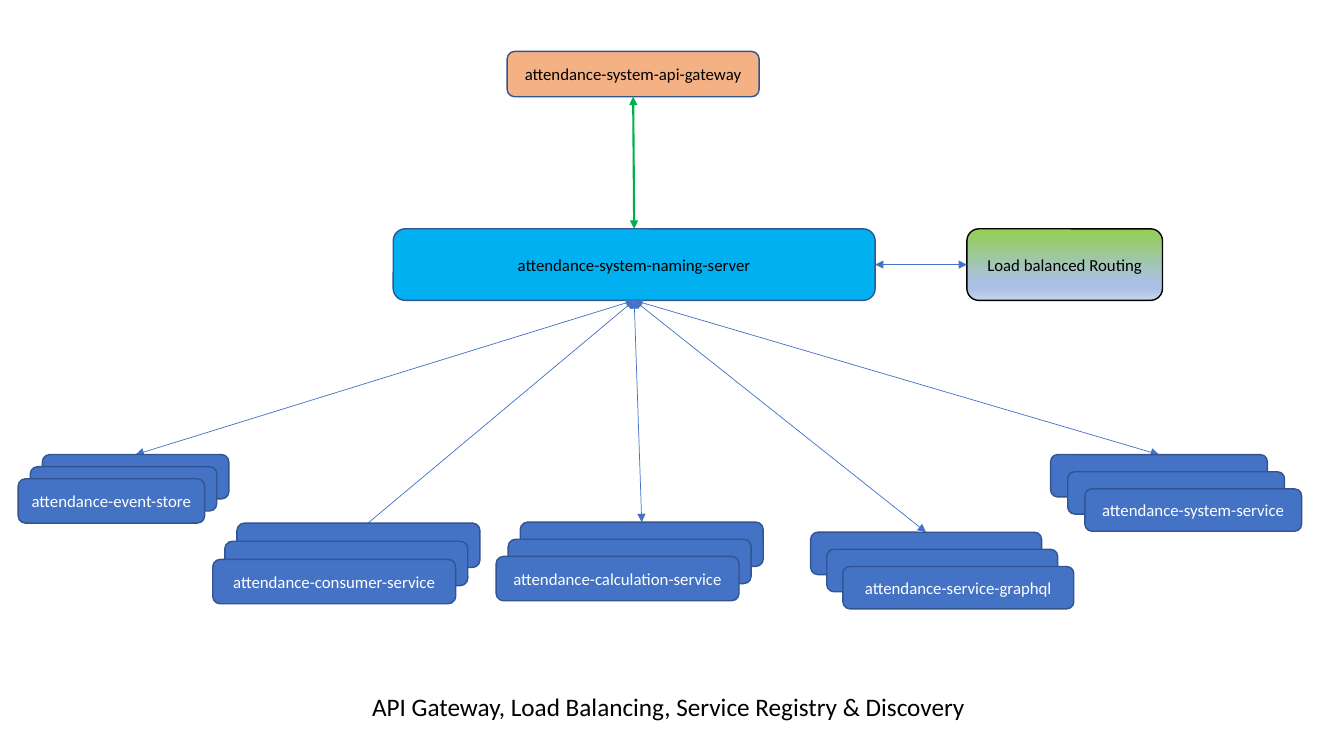
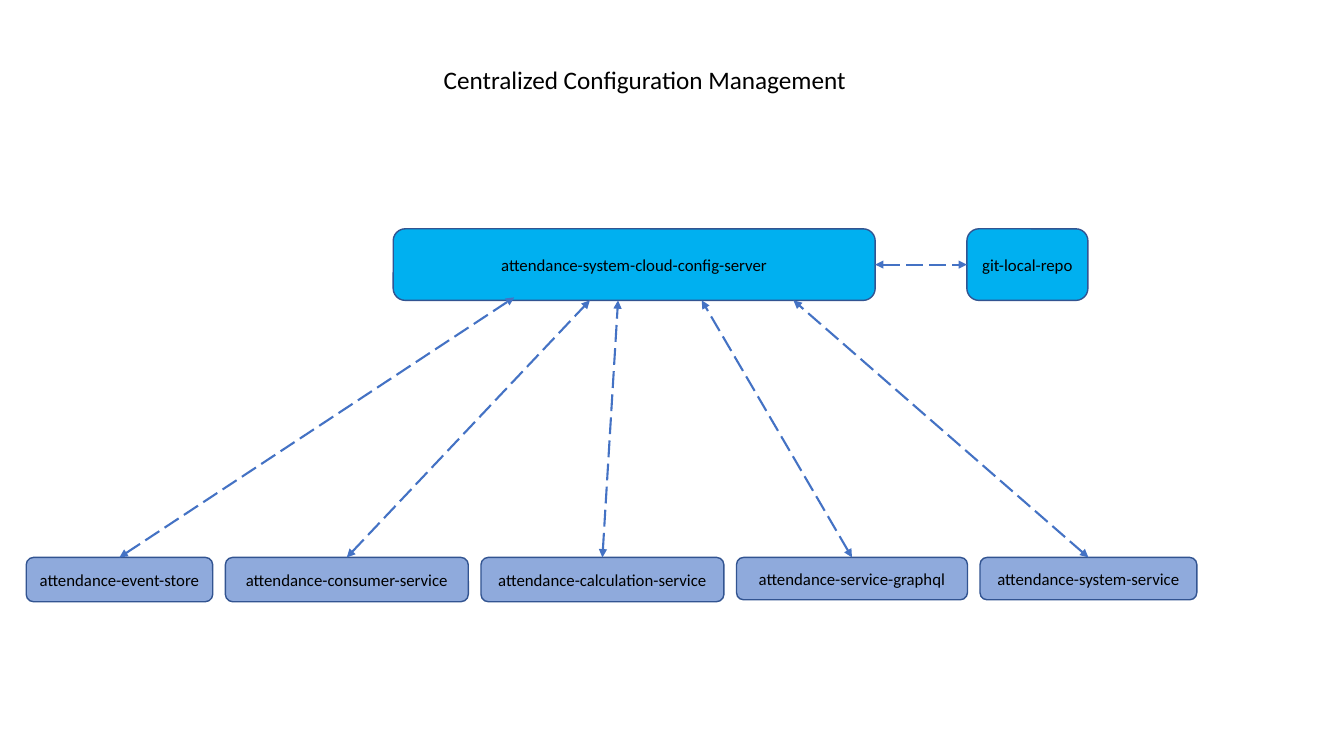
from lxml import etree
from pptx import Presentation
from pptx import util as u
from pptx.dml.color import RGBColor
from pptx.enum import dml, shapes, text
from pptx.oxml.ns import qn

FONT = "Calibri"
BLACK, WHITE = "000000", "FFFFFF"
BLUE, PALE_BLUE, CYAN = "4472C4", "8FAADC", "00B0F0"
ORANGE, GREEN, OUTLINE = "F4B183", "00B050", "325491"
ROUTING_STOPS = [(0, "92D050"), (74, "ABC0E4"), (83, "ABC0E4"), (100, "C7D5ED")]

GATEWAY = (5.03, 0.51, 2.5, 0.45)
SERVER = (3.9, 2.27, 4.78, 0.71)
ROUTING = (9.59, 2.27, 1.94, 0.71)
REPOSITORY = (9.59, 2.27, 1.2, 0.71)

SERVICES = [
    ("attendance-event-store", 1.85, 0.44),
    ("attendance-consumer-service", 2.41, 0.44),
    ("attendance-calculation-service", 2.41, 0.44),
    ("attendance-service-graphql", 2.29, 0.42),
    ("attendance-system-service", 2.15, 0.42),
]
STACK_SIZE = 3
STACKS = [
    {"start": (0.42, 4.51), "step": (-0.12, 0.12), "target": 0},
    {"start": (2.35, 5.19), "step": (-0.12, 0.18), "target": 1},
    {"start": (5.16, 5.18), "step": (-0.12, 0.17), "target": 0},
    {"start": (8.04, 5.28), "step": (0.16, 0.17), "target": 0},
    {"start": (10.42, 4.51), "step": (0.17, 0.17), "target": 0},
]
ROW_LEFT, ROW_TOP, ROW_GAP = 0.26, 5.53, 0.125
CONFIG_PORTS = [(5.1, 2.95), (5.85, 2.98), (6.13, 2.98), (6.96, 2.98), (7.87, 2.98)]


def color(value):
    return RGBColor.from_string(value)


def assign(target, values):
    for name, value in values.items():
        setattr(target, name, value)


def place(box):
    return dict(zip(("left", "top", "width", "height"), map(u.Inches, box)))


def top_center(box):
    return box[0] + box[2] / 2, box[1]


def bottom_center(box):
    return box[0] + box[2] / 2, box[1] + box[3]


def side_points(left_box, right_box):
    middle = left_box[1] + left_box[3] / 2
    return (left_box[0] + left_box[2], middle), (right_box[0], middle)


def write(shape, words, size, ink, alignment):
    paragraph = shape.text_frame.paragraphs[0]
    paragraph.alignment = alignment
    run = paragraph.add_run()
    run.text = words
    assign(run.font, {"name": FONT, "size": u.Pt(size), "bold": False})
    run.font.color.rgb = color(ink)


def add_title_slide(presentation, words, box):
    slide = presentation.slides.add_slide(presentation.slide_layouts[5])
    title = slide.shapes.title
    assign(title, place(box))
    assign(title.text_frame, {
        "word_wrap": False,
        "auto_size": text.MSO_AUTO_SIZE.SHAPE_TO_FIT_TEXT,
        "vertical_anchor": text.MSO_ANCHOR.TOP,
    })
    write(title, words, 18, BLACK, text.PP_ALIGN.LEFT)
    return slide


def add_box(slide, box, words="", fill=BLUE, ink=BLACK, outline=OUTLINE):
    shape = slide.shapes.add_shape(
        shapes.MSO_SHAPE.ROUNDED_RECTANGLE, **place(box))
    shape.shadow.inherit = False
    shape.fill.solid()
    shape.fill.fore_color.rgb = color(fill)
    shape.line.color.rgb = color(outline)
    shape.line.width = u.Pt(1)
    if words:
        shape.text_frame.vertical_anchor = text.MSO_ANCHOR.MIDDLE
        write(shape, words, 12, ink, text.PP_ALIGN.CENTER)
    return shape


def set_gradient(shape, stops):
    shape.fill.gradient()
    shape.fill.gradient_angle = 270
    stop_list = next(shape._element.spPr.iter(qn("a:gsLst")))
    for stop in list(stop_list):
        stop_list.remove(stop)
    for position, value in stops:
        stop = etree.SubElement(stop_list, qn("a:gs"), pos=str(position * 1000))
        etree.SubElement(stop, qn("a:srgbClr"), val=value)


def add_arrow(slide, start, end, ink=BLUE, width=0.5, dash=None):
    points = map(u.Inches, (*start, *end))
    connector = slide.shapes.add_connector(shapes.MSO_CONNECTOR.STRAIGHT, *points)
    connector.line.color.rgb = color(ink)
    assign(connector.line, {"width": u.Pt(width), "dash_style": dash})
    line = connector.line._get_or_add_ln()
    for tag in ("a:headEnd", "a:tailEnd"):
        etree.SubElement(line, qn(tag), type="triangle")
    etree.SubElement(connector._element.spPr, qn("a:effectLst"))


def build_gateway_slide(presentation):
    slide = add_title_slide(
        presentation, "API Gateway, Load Balancing, Service Registry & Discovery",
        (3.59, 6.81, 6.15, 0.4))
    add_box(slide, GATEWAY, "attendance-system-api-gateway", ORANGE)
    add_box(slide, SERVER, "attendance-system-naming-server", CYAN)
    routing = add_box(slide, ROUTING, "Load balanced Routing", outline=BLACK)
    set_gradient(routing, ROUTING_STOPS)
    add_arrow(slide, bottom_center(GATEWAY), top_center(SERVER), GREEN, 1.5)
    add_arrow(slide, *side_points(SERVER, ROUTING))
    for (name, width, height), stack in zip(SERVICES, STACKS):
        (left, top), (step_x, step_y) = stack["start"], stack["step"]
        layers = [(left + i * step_x, top + i * step_y, width, height)
                  for i in range(STACK_SIZE)]
        add_arrow(slide, top_center(layers[stack["target"]]), bottom_center(SERVER))
        for box in layers[:-1]:
            add_box(slide, box)
        add_box(slide, layers[-1], name, ink=WHITE)


def build_config_slide(presentation):
    slide = add_title_slide(
        presentation, "Centralized Configuration Management", (4.3, 0.59, 4.24, 0.4))
    dashed = {"width": 1.5, "dash": dml.MSO_LINE.LONG_DASH}
    add_box(slide, SERVER, "attendance-system-cloud-config-server", CYAN)
    add_box(slide, REPOSITORY, "git-local-repo", CYAN)
    add_arrow(slide, *side_points(SERVER, REPOSITORY), **dashed)
    left = ROW_LEFT
    for (name, width, height), port in zip(SERVICES, CONFIG_PORTS):
        box = (left, ROW_TOP, width, height)
        add_box(slide, box, name, PALE_BLUE)
        add_arrow(slide, top_center(box), port, **dashed)
        left += width + ROW_GAP


def main():
    presentation = Presentation()
    assign(presentation, {"slide_width": u.Inches(13.33),
                          "slide_height": u.Inches(7.5)})
    build_gateway_slide(presentation)
    build_config_slide(presentation)
    presentation.save("out.pptx")


if __name__ == "__main__":
    main()
